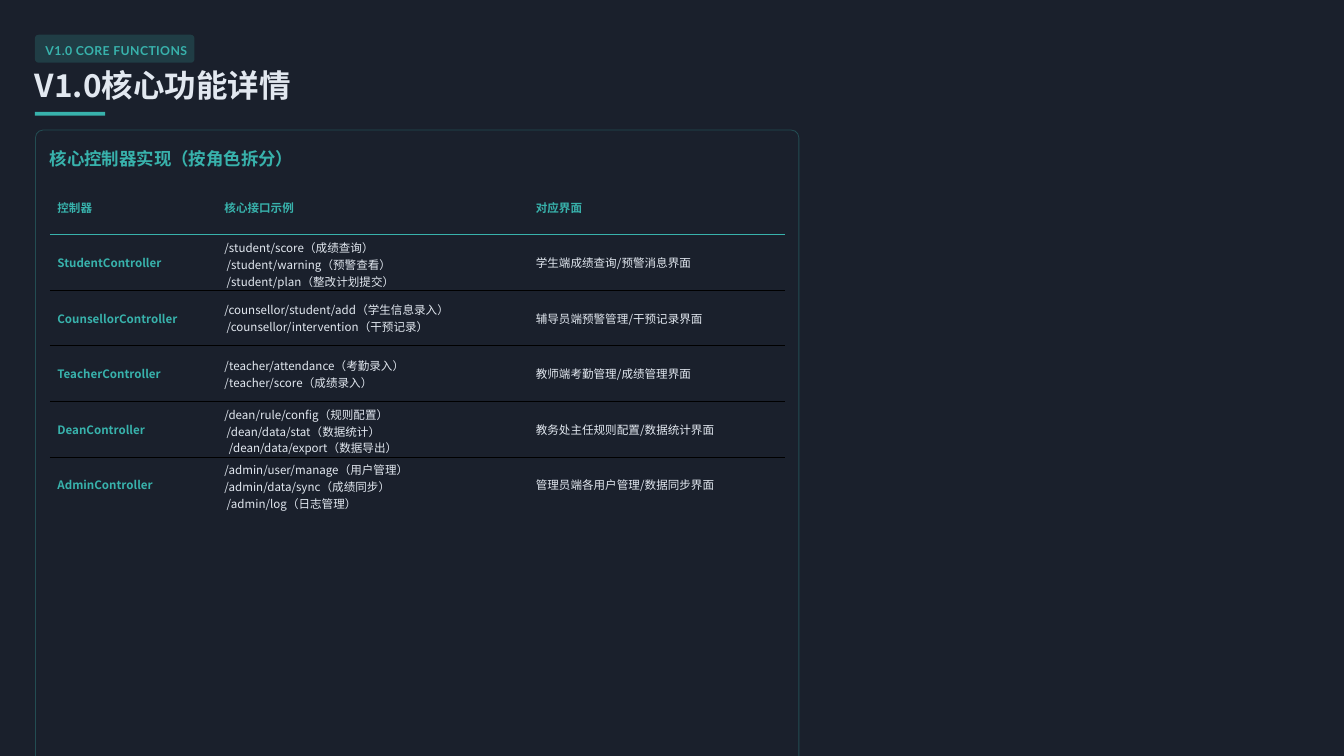
from dataclasses import dataclass

from lxml import etree
from pptx import Presentation, util as u
from pptx.dml.color import RGBColor
from pptx.enum import shapes, text
from pptx.oxml import ns

WIDTH, HEIGHT = u.Inches(17.78), u.Inches(10)
COLUMN, ROW = WIDTH / 100, HEIGHT / 100
COLORS = {"ground": "1A202C", "accent": "38B2AC", "text": "E2E8F0", "rule": "000000"}
LATIN, CJK = "Lato", "Noto Sans CJK SC"
PLAIN_TABLE = "{2D5ABB26-0587-4C30-8999-92F81FD0307C}"
LEADING_INDENT = 0.03
CELL_MARGIN = u.Inches(0.06)
TABLE_COLUMNS = (12.43, 23.17, 19.07)
HEADERS = ("控制器", "核心接口示例", "对应界面")
CONTROLLERS = (
    ("StudentController",
     ((0, "/student/score（成绩查询）"), (1, "/student/warning（预警查看）"),
      (1, "/student/plan（整改计划提交）")),
     "学生端成绩查询/预警消息界面"),
    ("CounsellorController",
     ((0, "/counsellor/student/add（学生信息录入）"),
      (1, "/counsellor/intervention（干预记录）")),
     "辅导员端预警管理/干预记录界面"),
    ("TeacherController",
     ((0, "/teacher/attendance（考勤录入）"), (0, "/teacher/score（成绩录入）")),
     "教师端考勤管理/成绩管理界面"),
    ("DeanController",
     ((0, "/dean/rule/config（规则配置）"), (1, "/dean/data/stat（数据统计）"),
      (2, "/dean/data/export（数据导出）")),
     "教务处主任规则配置/数据统计界面"),
    ("AdminController",
     ((0, "/admin/user/manage（用户管理）"), (0, "/admin/data/sync（成绩同步）"),
      (1, "/admin/log（日志管理）")),
     "管理员端各用户管理/数据同步界面"),
)


@dataclass
class Box:
    """A rectangle in grid columns and rows."""
    left: float
    top: float
    width: float
    height: float

    def lengths(self):
        """Return left, top, width and height as slide lengths."""
        return (round(self.left * COLUMN), round(self.top * ROW),
                round(self.width * COLUMN), round(self.height * ROW))

    def inner(self, left, top, width, height):
        """Return a box offset from this one by grid columns and rows."""
        return Box(self.left + left, self.top + top, width, height)


def paint(color_format, name, opacity=100):
    """Give a fill or line a named colour and an opacity in percent."""
    color_format.solid()
    color_format.fore_color.rgb = RGBColor.from_string(COLORS[name])
    if opacity < 100:
        for color in color_format._xPr.iter(ns.qn("a:srgbClr")):
            etree.SubElement(color, ns.qn("a:alpha"), val=str(opacity * 1000))


def add_run(paragraph, words, size, color, bold=True, font=CJK, spacing=0):
    """Add one styled run to a paragraph."""
    run = paragraph.add_run()
    run.text = words
    run.font.size, run.font.bold, run.font.name = u.Pt(size), bold, font
    run.font.color.rgb = RGBColor.from_string(COLORS[color])
    properties = run.font._element
    if spacing:
        properties.set("spc", str(round(spacing * 100)))
    etree.SubElement(properties, ns.qn("a:ea"), typeface=CJK)


def add_label(slide, box, words, line_spacing, wrap=True, **style):
    """Place one line of text without margins."""
    frame = slide.shapes.add_textbox(*box.lengths()).text_frame
    frame.word_wrap = wrap
    frame.vertical_anchor = text.MSO_ANCHOR.MIDDLE
    frame.margin_left = frame.margin_right = frame.margin_top = frame.margin_bottom = 0
    paragraph = frame.paragraphs[0]
    paragraph.alignment = text.PP_ALIGN.LEFT
    paragraph.line_spacing = line_spacing
    add_run(paragraph, words, **style)


def add_panel(slide, box, radius=0):
    """Place a rectangle whose corner radius is a share of its short side."""
    kind = shapes.MSO_SHAPE.ROUNDED_RECTANGLE if radius else shapes.MSO_SHAPE.RECTANGLE
    shape = slide.shapes.add_shape(kind, *box.lengths())
    shape.shadow.inherit = False
    shape.line.fill.background()
    if radius:
        shape.adjustments[0] = radius
    return shape


def add_heading(slide, box):
    """Place the tag, the title and the underline."""
    tag = box.inner(0, 0, 11.87, 3.7)
    paint(add_panel(slide, tag, 0.13).fill, "accent", 20)
    add_label(slide, tag.inner(0.78, 0.9, 10.75, 2.1), "V1.0 CORE FUNCTIONS", 1.2,
              wrap=False, size=11.7, color="accent", font=LATIN, spacing=0.3)
    add_label(slide, box.inner(0, 4.7, box.width, 4.6), "V1.0核心功能详情", 0.9,
              size=30, color="text")
    paint(add_panel(slide, box.inner(0, 10.2, 5.23, 0.5)).fill, "accent")


def add_border(cell, color, width):
    """Rule the bottom of a cell and clear its other sides."""
    properties = cell._tc.get_or_add_tcPr()
    for position, side in enumerate(("lnL", "lnR", "lnT", "lnB")):
        line = etree.Element(ns.qn(f"a:{side}"))
        properties.insert(position, line)
        if side == "lnB" and color:
            line.set("w", str(u.Pt(width)))
            fill = etree.SubElement(line, ns.qn("a:solidFill"))
            etree.SubElement(fill, ns.qn("a:srgbClr"), val=COLORS[color])
        else:
            etree.SubElement(line, ns.qn("a:noFill"))


def fill_cell(cell, lines, color, bold):
    """Write indented lines into a clear cell."""
    cell.fill.background()
    cell.vertical_anchor = text.MSO_ANCHOR.MIDDLE
    cell.margin_top = cell.margin_bottom = CELL_MARGIN
    frame = cell.text_frame
    for index, (level, words) in enumerate(lines):
        paragraph = frame.add_paragraph() if index else frame.paragraphs[0]
        if level:
            paragraph._p.get_or_add_pPr().set("marL", str(u.Inches(level * LEADING_INDENT)))
        add_run(paragraph, words, 11, color, bold)


def add_controller_table(slide, box):
    """Place the table of controllers, interfaces and screens."""
    rows = [[((0, header),) for header in HEADERS]]
    rows += [[((0, name),), interfaces, ((0, screen),)]
             for name, interfaces, screen in CONTROLLERS]
    left, top, width, height = box.lengths()
    table = slide.shapes.add_table(len(rows), len(HEADERS), left, top, width, height).table
    table._tbl.tblPr.find(ns.qn("a:tableStyleId")).text = PLAIN_TABLE
    table.horz_banding = table.first_row = False
    for column, columns in zip(table.columns, TABLE_COLUMNS):
        column.width = round(columns * COLUMN)
    for row_index, cells in enumerate(rows):
        table.rows[row_index].height = round(height / len(rows))
        is_header, is_last = row_index == 0, row_index == len(rows) - 1
        rule = "accent" if is_header else None if is_last else "rule"
        for column_index, lines in enumerate(cells):
            cell = table.cell(row_index, column_index)
            strong = is_header or column_index == 0
            fill_cell(cell, lines, "accent" if strong else "text", strong)
            add_border(cell, rule, 1.6 if is_header else 0.8)


def add_controller_card(slide, box):
    """Place the outlined card with its heading and table."""
    card = add_panel(slide, box, 0.01)
    card.fill.background()
    card.line.width = u.Pt(0.8)
    paint(card.line.fill, "accent", 30)
    add_label(slide, box.inner(1.07, 1.9, 55.34, 3.2), "核心控制器实现（按角色拆分）",
              1.2, size=16.6, color="accent", font=LATIN)
    add_controller_table(slide, box.inner(1.07, 6.5, sum(TABLE_COLUMNS), 44.1))


def main():
    """Build and save the slide."""
    presentation = Presentation()
    presentation.slide_width, presentation.slide_height = WIDTH, HEIGHT
    slide = presentation.slides.add_slide(presentation.slide_layouts[6])
    paint(slide.background.fill, "ground")
    add_heading(slide, Box(2.6, 4.6, 95.95, 10.7))
    add_controller_card(slide, Box(2.64, 17.2, 56.8, 113.8))
    presentation.save("out.pptx")


if __name__ == "__main__":
    main()
